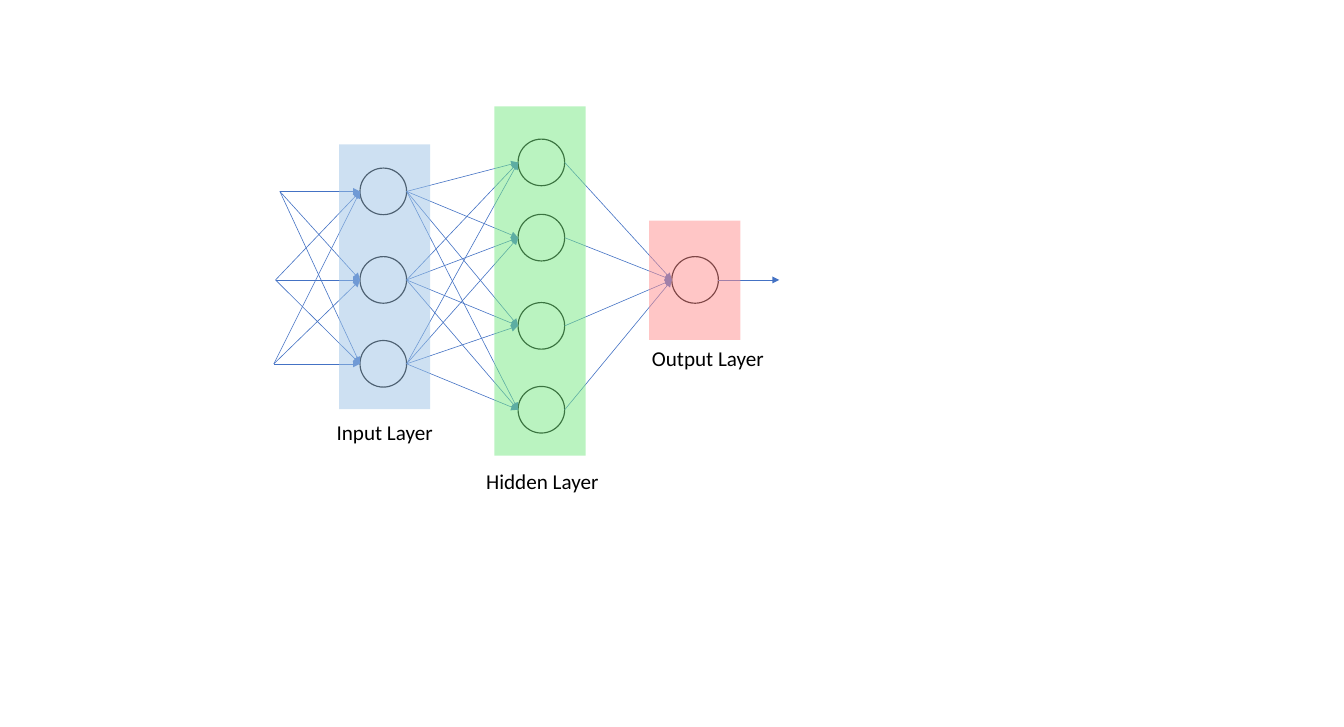
from itertools import product

from lxml import etree
from pptx import Presentation
from pptx.dml.color import RGBColor
from pptx.enum.shapes import MSO_CONNECTOR, MSO_SHAPE
from pptx.enum.text import MSO_AUTO_SIZE, PP_ALIGN
from pptx.oxml.ns import qn
from pptx.util import Cm, Pt

OVAL, RECT = MSO_SHAPE.OVAL, MSO_SHAPE.RECTANGLE
STRAIGHT = MSO_CONNECTOR.STRAIGHT
FIT_SHAPE = MSO_AUTO_SIZE.SHAPE_TO_FIT_TEXT
RIGHT = PP_ALIGN.RIGHT

COLORS = {
    "node": "FFFFFF", "outline": "000000", "arrow": "4472C4",
    "input": "9DC3E6", "hidden": "77E982", "output": "FF8F8F",
    "text": "000000",
}
NODE = 1.4
BAND_W = 2.74
LABEL_H = 1.02

layers = [
    {"name": "input", "x": 10.82, "ys": [5.75, 8.41, 10.93],
     "band": (10.19, 4.34, 7.95), "label": ("Input Layer", 9.83, 12.47, 3.43)},
    {"name": "hidden", "x": 15.57, "ys": [4.88, 7.14, 9.79, 12.31],
     "band": (14.86, 3.2, 10.49), "label": ("Hidden Layer", 14.3, 13.94, 3.94)},
    {"name": "output", "x": 20.19, "ys": [8.41],
     "band": (19.51, 6.63, 3.58), "label": ("Output Layer", 19.3, 10.24, 3.91)},
]

prs = Presentation()
prs.slide_width, prs.slide_height = Cm(40.39), Cm(21.84)
s = prs.slides.add_slide(prs.slide_layouts[6])


def add_filled(kind, x, y, w, h, color):
    sp = s.shapes.add_shape(kind, Cm(x), Cm(y), Cm(w), Cm(h))
    sp.shadow.inherit = False
    sp.fill.solid()
    sp.fill.fore_color.rgb = RGBColor.from_string(COLORS[color])
    return sp


def add_arrow(start, end):
    c = s.shapes.add_connector(STRAIGHT, *map(Cm, start + end))
    c.line.color.rgb = RGBColor.from_string(COLORS["arrow"])
    c.line.width = Pt(0.5)
    etree.SubElement(c.line._get_or_add_ln(), qn("a:tailEnd"), type="triangle")
    etree.SubElement(c._element.spPr, qn("a:effectLst"))


for layer in layers:
    for y in layer["ys"]:
        sp = add_filled(OVAL, layer["x"], y - NODE / 2, NODE, NODE, "node")
        sp.line.color.rgb = RGBColor.from_string(COLORS["outline"])
        sp.line.width = Pt(1)

sources = list(zip([8.41, 8.28, 8.23], layers[0]["ys"]))
for layer in layers:
    targets = [(layer["x"], y) for y in layer["ys"]]
    for start, end in product(sources, targets):
        add_arrow(start, end)
    sources = [(x + NODE, y) for x, y in targets]
add_arrow(sources[0], (23.42, 8.41))

for layer in layers:
    x, y, h = layer["band"]
    sp = add_filled(RECT, x, y, BAND_W, h, layer["name"])
    sp.line.fill.background()
    rgb = sp._element.spPr.find(qn("a:solidFill"))[0]
    etree.SubElement(rgb, qn("a:alpha"), val="50000")

for layer in layers:
    text, x, y, w = layer["label"]
    tf = s.shapes.add_textbox(Cm(x), Cm(y), Cm(w), Cm(LABEL_H)).text_frame
    tf.word_wrap = False
    tf.auto_size = FIT_SHAPE
    p = tf.paragraphs[0]
    p.alignment = RIGHT
    r = p.add_run()
    r.text = text
    for key, value in {"name": "Calibri", "size": Pt(18)}.items():
        setattr(r.font, key, value)
    r.font.color.rgb = RGBColor.from_string(COLORS["text"])

prs.save("out.pptx")
